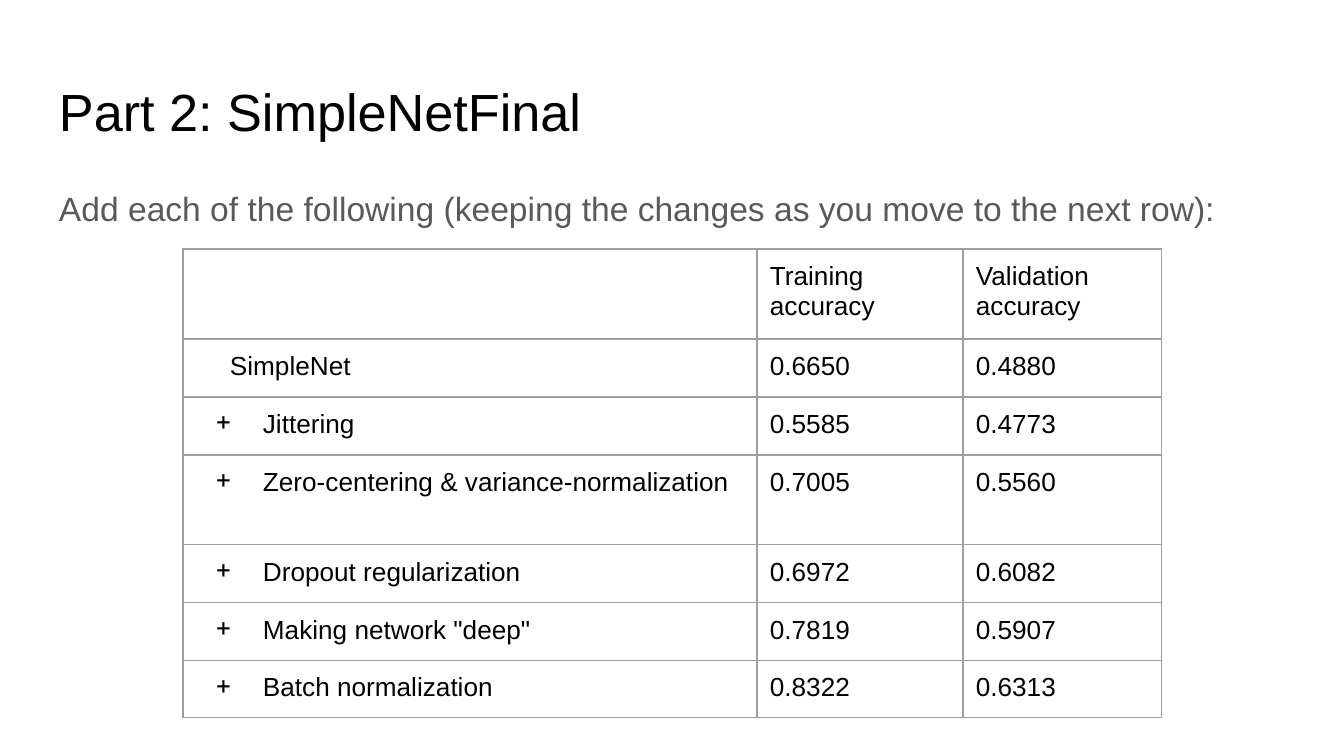
import lxml.etree
import pptx
import pptx.dml.color
import pptx.enum.text
import pptx.oxml.ns
import pptx.util

PIXEL = 914400 / 134.4
BLACK = pptx.dml.color.RGBColor(0x00, 0x00, 0x00)
GREY = pptx.dml.color.RGBColor(0x59, 0x59, 0x59)
BORDER = pptx.dml.color.RGBColor(0x9E, 0x9E, 0x9E)
FONT = "Arial"
MARGIN = 13

COLUMN_WIDTHS = [574, 206, 199]
ROW_HEIGHTS = [90, 58, 58, 90, 58, 56, 56]
HEADER = ["", "Training accuracy", "Validation accuracy"]
BASELINE = ["SimpleNet", "0.6650", "0.4880"]
ADDITIONS = [
    ["Jittering", "0.5585", "0.4773"],
    ["Zero-centering & variance-normalization", "0.7005", "0.5560"],
    ["Dropout regularization", "0.6972", "0.6082"],
    ['Making network "deep"', "0.7819", "0.5907"],
    ["Batch normalization", "0.8322", "0.6313"],
]


def emu(pixels):
    """Turn pixels into EMU."""
    return pptx.util.Emu(round(pixels * PIXEL))


def add_element(parent, tag, **attributes):
    """Append a DrawingML element with the given attributes."""
    element = lxml.etree.SubElement(parent, pptx.oxml.ns.qn(tag))
    for name, value in attributes.items():
        element.set(name, str(value))
    return element


def write_text(frame, text, size=14, color=BLACK, line_spacing=None,
               left=0, indent=0, bullet=None):
    """Write one formatted paragraph, with an optional indent and bullet."""
    frame.word_wrap = True
    paragraph = frame.paragraphs[0]
    if line_spacing:
        paragraph.line_spacing = line_spacing
    if left:
        properties = paragraph._p.get_or_add_pPr()
        properties.set("marL", str(emu(left)))
        properties.set("indent", str(emu(indent)))
        if bullet:
            bullet_color = add_element(properties, "a:buClr")
            add_element(bullet_color, "a:srgbClr", val=color)
            add_element(properties, "a:buChar", char=bullet)
    run = paragraph.add_run()
    run.text = text
    run.font.name = FONT
    run.font.size = pptx.util.Pt(size)
    run.font.color.rgb = color


def set_margins(target):
    """Give a text frame or a cell the same margin on all sides."""
    for side in ("left", "top", "right", "bottom"):
        setattr(target, f"margin_{side}", emu(MARGIN))


def set_borders(cell):
    """Draw a thin line on all four sides of a cell."""
    properties = cell._tc.get_or_add_tcPr()
    for position, side in enumerate("LRTB"):
        line = add_element(properties, f"a:ln{side}", w=pptx.util.Pt(0.75))
        fill = add_element(line, "a:solidFill")
        add_element(fill, "a:srgbClr", val=BORDER)
        properties.insert(position, line)


def add_text_box(slide, box, text, **text_format):
    """Add a text box that fills the given box."""
    shape = slide.shapes.add_textbox(*map(emu, box))
    set_margins(shape.text_frame)
    shape.text_frame.vertical_anchor = pptx.enum.text.MSO_ANCHOR.TOP
    write_text(shape.text_frame, text, **text_format)


def add_accuracy_table(slide, box):
    """Add the table of accuracies, one row for each network change."""
    rows = [HEADER, BASELINE] + ADDITIONS
    table = slide.shapes.add_table(len(rows), len(HEADER), *map(emu, box)).table
    table.first_row = False
    table.horz_banding = False
    for column, width in zip(table.columns, COLUMN_WIDTHS):
        column.width = emu(width)
    for row, height in zip(table.rows, ROW_HEIGHTS):
        row.height = emu(height)
    for row_index, values in enumerate(rows):
        for column_index, text in enumerate(values):
            cell = table.cell(row_index, column_index)
            set_margins(cell)
            cell.fill.background()
            set_borders(cell)
            text_format = {}
            if column_index == 0 and values is BASELINE:
                text_format = {"left": 34}
            elif column_index == 0 and values in ADDITIONS:
                text_format = {"left": 67, "indent": -47, "bullet": "+"}
            if text:
                write_text(cell.text_frame, text, **text_format)


def build_results_slide(presentation):
    """Add the slide with a title, an instruction and the results."""
    slide = presentation.slides.add_slide(presentation.slide_layouts[6])
    add_text_box(slide, (46, 66, 1252, 84), "Part 2: SimpleNetFinal", size=28)
    add_text_box(
        slide, (46, 169, 1252, 503),
        "Add each of the following (keeping the changes as you move to the next row):",
        size=18, color=GREY, line_spacing=1.15)
    add_accuracy_table(
        slide, (183, 249, sum(COLUMN_WIDTHS), sum(ROW_HEIGHTS)))


presentation = pptx.Presentation()
presentation.slide_width = emu(1344)
presentation.slide_height = emu(756)
build_results_slide(presentation)
presentation.save("out.pptx")
